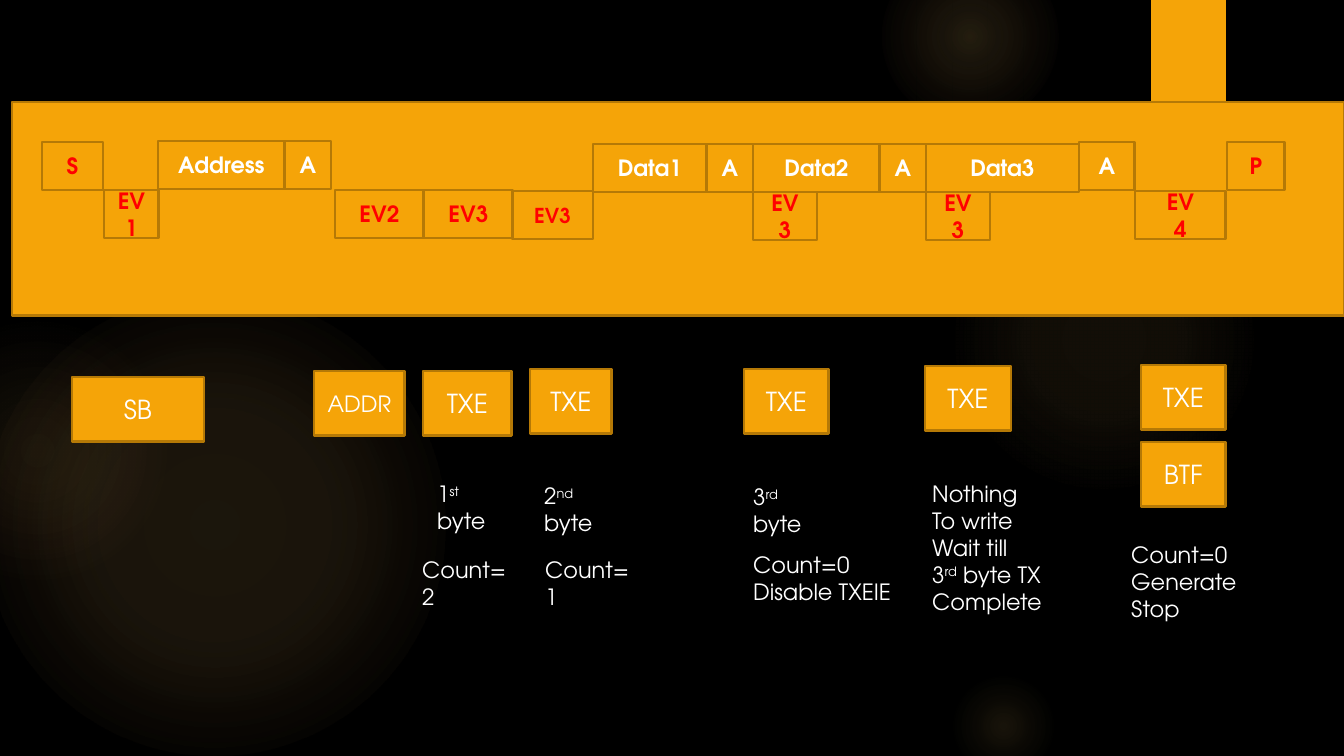
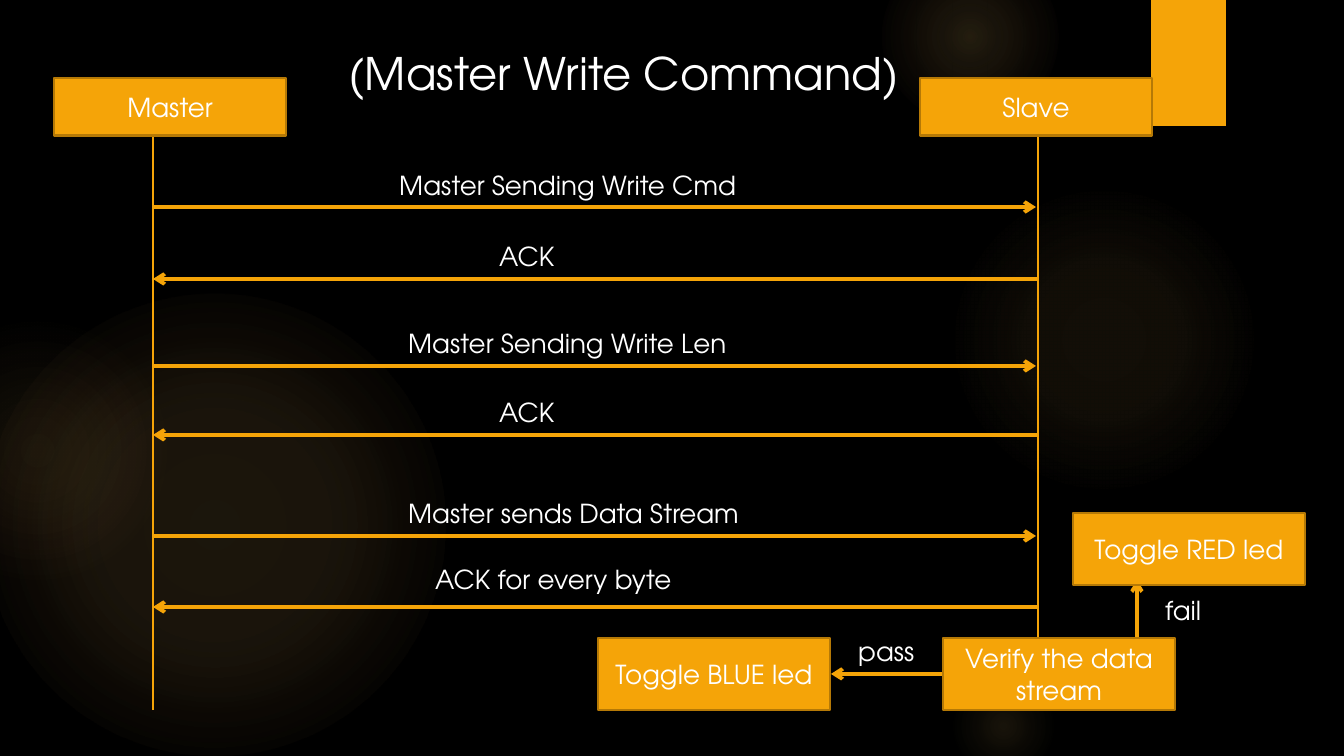
from dataclasses import dataclass

from lxml.etree import SubElement
from pptx import Presentation
from pptx.dml.color import RGBColor
from pptx.enum.shapes import MSO_CONNECTOR, MSO_SHAPE
from pptx.enum.text import MSO_ANCHOR, MSO_AUTO_SIZE, PP_ALIGN
from pptx.oxml import parse_xml
from pptx.oxml.ns import nsdecls, qn
from pptx.util import Emu, Pt


@dataclass(frozen=True)
class Theme:
    font: str = "TeX Gyre Adventor"
    black: RGBColor = RGBColor(0, 0, 0)
    white: RGBColor = RGBColor(255, 255, 255)
    red: RGBColor = RGBColor(255, 0, 0)
    amber: RGBColor = RGBColor(0xF5, 0xA4, 0x08)
    edge: RGBColor = RGBColor(0xB5, 0x79, 0x06)
    glow: str = "FAC96A"
    warm_glow: str = "F59B74"
    title: int = 24
    label: int = 14
    note: int = 12
    small: int = 11


theme = Theme()
PX = 914400 / 134.4


def write(box, lines, size, color=theme.white, bold=False, align=PP_ALIGN.LEFT,
          anchor=MSO_ANCHOR.TOP, wrap=True):
    """Fill a box with lines; parts between ^ marks are superscript."""
    frame = box.text_frame
    frame.word_wrap = wrap
    frame.vertical_anchor = anchor
    if anchor == MSO_ANCHOR.TOP:
        frame.auto_size = MSO_AUTO_SIZE.SHAPE_TO_FIT_TEXT
    for index, line in enumerate(lines.split("\n")):
        para = frame.add_paragraph() if index else frame.paragraphs[0]
        para.alignment = align
        for part, text in enumerate(line.split("^")):
            span = para.add_run()
            span.text = text
            span.font.name = theme.font
            span.font.size = Pt(size)
            span.font.bold = bold
            span.font.color.rgb = color
            if part % 2:
                span.font._element.set("baseline", "30000")


def add_box(shapes, rect, text="", size=theme.label, color=theme.white, bold=False, filled=True):
    box = shapes.add_shape(MSO_SHAPE.RECTANGLE, *[Emu(round(v * PX)) for v in rect])
    box.shadow.inherit = False
    if filled:
        box.fill.solid()
        box.fill.fore_color.rgb = theme.amber
    else:
        box.fill.background()
    box.line.color.rgb = theme.edge
    box.line.width = Pt(1.5)
    if text:
        write(box, text, size, color, bold, PP_ALIGN.CENTER, MSO_ANCHOR.MIDDLE)
    return box


deck = Presentation()
deck.slide_width, deck.slide_height = Emu(round(1344 * PX)), Emu(round(756 * PX))
timing = deck.slides.add_slide(deck.slide_layouts[6])
command = deck.slides.add_slide(deck.slide_layouts[5])

# Master: black ground, soft glows and the amber tab
master = deck.slide_master
master.background.fill.solid()
master.background.fill.fore_color.rgb = theme.black
backdrop = []
glows = [  # left, top, diameter, (stop %, alpha %) pairs, outer colour
    (-17, 294, 462, ((0, 11), (36, 10), (75, 0)), theme.glow),
    (-93, 320, 261, ((0, 8), (36, 5), (71, 0)), theme.warm_glow),
    (949, 185, 310, ((0, 7), (36, 6), (69, 0)), theme.glow),
    (882, -51, 176, ((0, 14), (36, 7), (73, 0)), theme.glow),
    (949, 672, 109, ((0, 10), (31, 5), (66, 0)), theme.glow),
]
for left, top, diameter, stops, outer in glows:
    glow = add_box(timing.shapes, (left, top, diameter, diameter), filled=False)
    glow.auto_shape_type  # rectangle until the geometry is switched below
    glow.element.spPr.find(qn("a:prstGeom")).set("prst", "ellipse")
    glow.line.fill.background()
    stop_xml = "".join(
        f'<a:gs pos="{pos * 1000}"><a:srgbClr val="{theme.glow if alpha else outer}">'
        f'<a:alpha val="{alpha * 1000}"/></a:srgbClr></a:gs>' for pos, alpha in stops)
    gradient = parse_xml(
        f'<a:gradFill {nsdecls("a")} rotWithShape="1"><a:gsLst>{stop_xml}</a:gsLst><a:path path="circle">'
        '<a:fillToRect l="50000" t="50000" r="50000" b="50000"/></a:path></a:gradFill>')
    properties = glow.element.spPr
    properties.replace(properties.find(qn("a:noFill")), gradient)
    backdrop.append(glow)

tab = add_box(timing.shapes, (1151, 0, 75, 126))
tab.line.fill.background()
effects = tab.element.spPr.find(qn("a:effectLst"))
effects.append(parse_xml(
    f'<a:outerShdw {nsdecls("a")} blurRad="38100" dist="25400" dir="5400000" rotWithShape="0">'
    '<a:srgbClr val="000000"><a:alpha val="45000"/></a:srgbClr></a:outerShdw>'))
backdrop.append(tab)
for index, shape in enumerate(backdrop):
    shape.element.nvSpPr.cNvPr.set("id", str(100 + index))
    master.shapes.element.insert(2 + index, shape.element)

# Slide 1: bus frame with its events
bus = timing.shapes.add_group_shape().shapes
add_box(bus, (12, 102, 1332, 214))
cells = [  # text, left, top, width
    ("S", 42, 142, 61), ("EV1", 104, 190, 55), ("Address", 158, 141, 127), ("A", 285, 141, 46),
    ("EV2", 335, 190, 89), ("EV3", 424, 190, 89), ("Data1", 593, 144, 114), ("A", 707, 144, 46),
    ("Data2", 753, 144, 127), ("A", 880, 144, 46), ("EV3", 512, 191, 81), ("EV\n3", 753, 192, 64),
    ("Data3", 926, 144, 153), ("A", 1079, 142, 56), ("EV\n4", 1135, 191, 91), ("P", 1227, 142, 58),
    ("EV\n3", 926, 192, 64),
]
for text, left, top, width in cells:
    color = theme.red if text in ("S", "P") or text.startswith("EV") else theme.white
    size = theme.small if left == 512 else theme.note
    add_box(bus, (left, top, width, 48), text, size, color, bold=True, filled=False)

# Slide 1: status flags
flags = [
    ("SB", 72, 377, 132), ("ADDR", 314, 371, 91), ("TXE", 423, 371, 89), ("TXE", 530, 369, 82),
    ("TXE", 744, 369, 85), ("TXE", 925, 366, 86), ("BTF", 1141, 442, 85), ("TXE", 1141, 365, 85),
]
for text, left, top, width in flags:
    size = theme.note if text == "ADDR" else theme.label
    add_box(timing.shapes, (left, top, width, 65), text, size)

# Text on both slides: page, text, size, wrap, rect
notes = [
    ("1^st^ byte", 424, 474, 89, 67), ("2^nd^ byte", 531, 476, 89, 67),
    ("3^rd^ byte", 740, 477, 89, 67), ("Count=2", 409, 550, 122, 40),
    ("Count=1", 532, 550, 122, 40), ("Count=0\nDisable TXEIE", 740, 545, 170, 67),
    ("Count=0\nGenerate\nStop", 1118, 535, 140, 95),
    ("Nothing\nTo write\nWait till\n3^rd^ byte TX\nComplete", 919, 474, 231, 149),
]
labels = [
    ("Master Sending Write Cmd", 386, 163, 368, 45), ("ACK", 486, 234, 83, 45),
    ("Master Sending Write Len", 395, 321, 349, 45), ("ACK", 486, 390, 83, 45),
    ("Master sends Data Stream", 395, 491, 363, 45), ("ACK for every byte", 422, 557, 269, 45),
    ("pass", 845, 629, 83, 45), ("fail", 1152, 588, 65, 45),
]
for page, texts, size, wrap in ((timing, notes, theme.note, True),
                                (command, labels, theme.label, False)):
    for text, *rect in texts:
        box = page.shapes.add_textbox(*[Emu(round(v * PX)) for v in rect])
        write(box, text, size, wrap=wrap)

# Slide 2: title
title = command.shapes.title
title.left, title.top, title.width, title.height = [Emu(round(v * PX)) for v in (335, 39, 586, 67)]
write(title, "(Master Write Command)", theme.title, wrap=False)

# Slide 2: lifelines, then messages in alternating directions
master_x, slave_x = 153, 1038
lines = [(x, 136, x, 710, 0.75) for x in (master_x, slave_x)]
for index, y in enumerate((207, 279, 366, 435, 536, 607)):
    start, end = (slave_x, master_x) if index % 2 else (master_x, slave_x - 2)
    lines.append((start, y, end, y, 2))
lines += [(943, 674, 831, 674, 2), (1137, 638, 1137, 580, 2)]
for *points, weight in lines:
    line = command.shapes.add_connector(MSO_CONNECTOR.STRAIGHT, *[Emu(round(v * PX)) for v in points])
    line.line.color.rgb = theme.amber
    line.line.width = Pt(weight)
    if weight == 2:
        SubElement(line.line._get_or_add_ln(), qn("a:tailEnd"), type="arrow")
    SubElement(line._element.spPr, qn("a:effectLst"))

# Slide 2: participants and outcomes
actors = [
    ("Master", 54, 78, 58), ("Slave", 920, 78, 58), ("Verify the data stream", 943, 638, 72),
    ("Toggle BLUE led", 598, 638, 72), ("Toggle RED led", 1073, 513, 72),
]
for text, left, top, height in actors:
    add_box(command.shapes, (left, top, 232, height), text)

deck.save("out.pptx")
